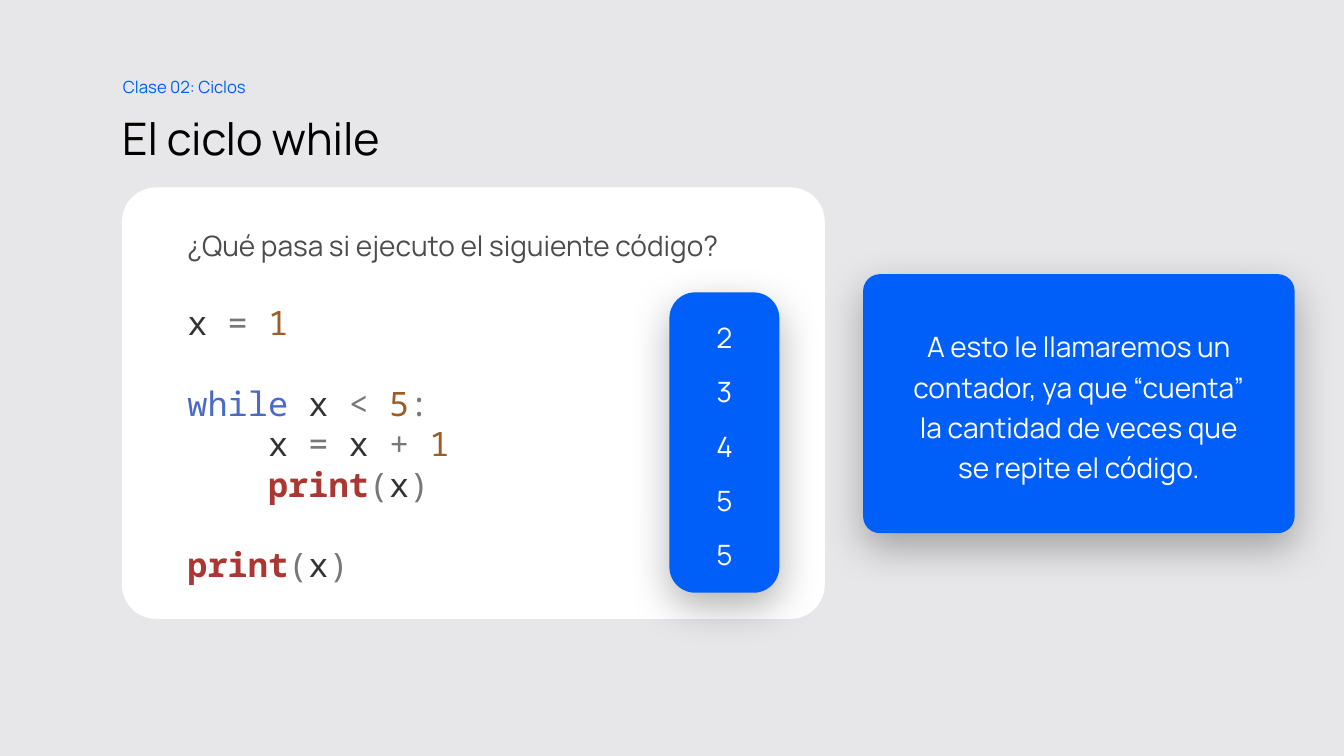
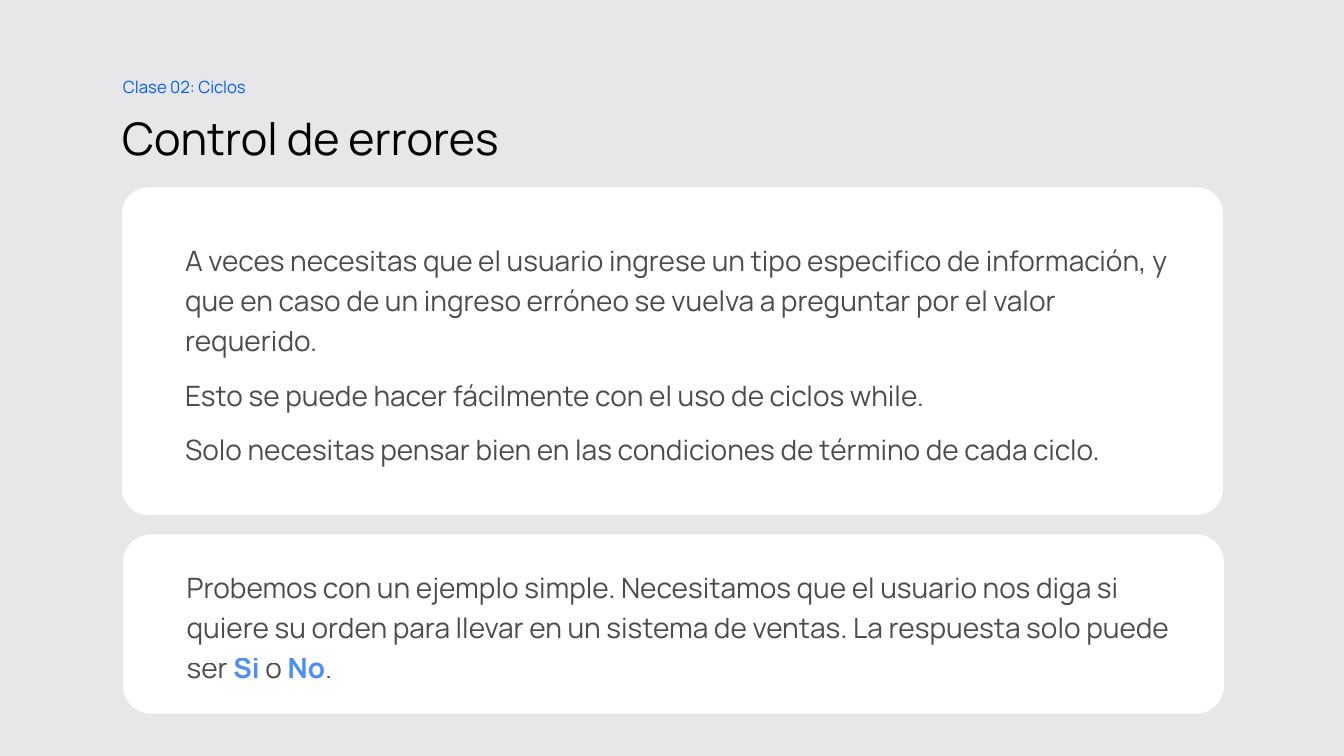
"""Build two lesson slides about while loops."""
from lxml.etree import SubElement
from pptx import Presentation
from pptx.dml.color import RGBColor as Rgb
from pptx.enum.shapes import MSO_SHAPE as Preset
from pptx.enum.text import MSO_ANCHOR as Anchor, MSO_AUTO_SIZE as Fit, PP_ALIGN as Align
from pptx.oxml.ns import qn
from pptx.util import Inches, Pt

COLORS = {
    "page": "E7E7E9", "panel": "FFFFFF", "accent": "005FF9", "ink": "000000",
    "name": "333333", "sign": "777777", "number": "9C5D27", "keyword": "4B69C6", "call": "AA3731",
}
SANS, MONO = "Manrope", "Noto Sans Mono"
CODE_LINE = 28.8
CODE_INDENT = Inches(0.8)
PRINT_CALL = [("print", "call"), ("(", "sign"), ("x", "name"), (")", "sign")]


def color(name):
    return Rgb.from_string(COLORS[name])


def style(font, size, name, face=SANS, bold=False):
    font.name, font.size, font.bold = face, Pt(size), bold
    font.color.rgb = color(name)


def fade(paragraph):
    for tint in paragraph._p.iter(qn("a:srgbClr")):
        SubElement(tint, qn("a:alpha"), val="70000")


class Lesson:
    def __init__(self, topic):
        self.topic = topic
        self.deck = Presentation()
        self.deck.slide_width, self.deck.slide_height = Inches(13.333), Inches(7.5)
        fill = self.deck.slide_master.background.fill
        fill.solid()
        fill.fore_color.rgb = color("page")

    def place(self, left, top, width, height):
        across, down = self.deck.slide_width / 100, self.deck.slide_height / 100
        return [int(part) for part in (left * across, top * down, width * across, height * down)]

    def frame(self, shape, margins, anchor):
        frame = shape.text_frame
        frame.word_wrap, frame.vertical_anchor = True, anchor
        (frame.margin_left, frame.margin_top,
         frame.margin_right, frame.margin_bottom) = [Inches(side) for side in margins]
        return frame

    def paragraph(self, frame, before=10, spacing=1.2, align=Align.LEFT):
        para = frame.paragraphs[0]
        if para.runs:
            para = frame.add_paragraph()
        para.alignment, para.line_spacing, para.space_before = align, spacing, Pt(before)
        return para

    def page(self, heading):
        self.slide = self.deck.slides.add_slide(self.deck.slide_layouts[5])
        title = self.slide.shapes.title
        title.left, title.top, title.width, title.height = self.place(9.08, 13.33, 81.4, 10)
        frame = self.frame(title, (0, 0.1, 0.1, 0.05), Anchor.MIDDLE)
        frame.auto_size = Fit.NONE
        para = self.paragraph(frame, 0, 0.9)
        para.add_run().text = heading
        style(para.font, 32, "ink")
        label = self.slide.shapes.add_textbox(*self.place(9.15, 8.93, 10.65, 4.53))
        frame = self.frame(label, (0, 0.05, 0.1, 0.05), Anchor.TOP)
        frame.word_wrap, frame.auto_size = False, Fit.SHAPE_TO_FIT_TEXT
        para = self.paragraph(frame)
        para.add_run().text = self.topic
        style(para.font, 12, "accent")

    def card(self, area, corner, fill, margins):
        box = self.slide.shapes.add_shape(Preset.ROUNDED_RECTANGLE, *self.place(*area))
        box.adjustments[0] = corner
        box.fill.solid()
        box.fill.fore_color.rgb = color(fill)
        box.line.fill.background()
        box.shadow.inherit = False
        return box, self.frame(box, margins, Anchor.MIDDLE)

    def panel(self, area, corner, texts=()):
        frame = self.card(area, corner, "panel", (0.55, 0, 0.3, 0))[1]
        for text in texts:
            para = self.paragraph(frame)
            para.add_run().text = text
            style(para.font, 20, "ink")
            fade(para)
        return frame

    def callout(self, area, corner, texts):
        box, frame = self.card(area, corner, "accent", (0.39, 0, 0.39, 0))
        effects = box._element.spPr.find(qn("a:effectLst"))
        shadow = SubElement(effects, qn("a:outerShdw"), blurRad=str(Pt(30)),
                            dist=str(Pt(10)), dir="5400000", rotWithShape="0")
        tint = SubElement(shadow, qn("a:srgbClr"), val=COLORS["ink"])
        SubElement(tint, qn("a:alpha"), val="30000")
        for text in texts:
            para = self.paragraph(frame, align=Align.CENTER)
            para.add_run().text = text
            style(para.font, 20, "panel")

    def code(self, frame, lines):
        for before, depth, tokens in lines:
            para = self.paragraph(frame, before, Pt(CODE_LINE))
            para._p.get_or_add_pPr().set("marL", str(depth * CODE_INDENT))
            for text, kind in tokens:
                span = para.add_run()
                span.text = text
                style(span.font, 24, kind, MONO, kind == "call")

    def mixed(self, frame, pieces):
        para = self.paragraph(frame)
        for text, name in pieces:
            span = para.add_run()
            span.text = text
            style(span.font, 20, name, bold=name == "accent")
        fade(para)


lesson = Lesson("Clase 02: Ciclos")

lesson.page("El ciclo while")
listing = lesson.panel((9.08, 24.8, 52.29, 57.07), 0.079,
                       ["¿Qué pasa si ejecuto el siguiente código?"])
lesson.code(listing, [
    (CODE_LINE, 0, [("x ", "name"), ("= ", "sign"), ("1", "number")]),
    (CODE_LINE, 0, [("while", "keyword"), (" x ", "name"), ("< ", "sign"),
                    ("5", "number"), (":", "sign")]),
    (0, 1, [("x ", "name"), ("=", "sign"), (" x ", "name"), ("+ ", "sign"), ("1", "number")]),
    (0, 1, PRINT_CALL),
    (CODE_LINE, 0, PRINT_CALL),
])
lesson.callout((49.81, 38.67, 8.18, 39.73), 0.235, "23455")
lesson.callout((64.22, 36.27, 32.11, 34.27), 0.065, [
    "A esto le llamaremos un contador, ya que “cuenta” la cantidad de veces "
    "que se repite el código."])

lesson.page("Control de errores")
lesson.panel((9.08, 24.8, 81.92, 43.33), 0.079, [
    "A veces necesitas que el usuario ingrese un tipo especifico de información, y que en "
    "caso de un ingreso erróneo se vuelva a preguntar por el valor requerido.",
    "Esto se puede hacer fácilmente con el uso de ciclos while.",
    "Solo necesitas pensar bien en las condiciones de término de cada ciclo."])
example = lesson.panel((9.15, 70.67, 81.92, 23.73), 0.156)
lesson.mixed(example, [
    ("Probemos con un ejemplo simple. Necesitamos que el usuario nos diga si quiere su orden "
     "para llevar en un sistema de ventas. La respuesta solo puede ser ", "ink"),
    ("Si ", "accent"), ("o ", "ink"), ("No", "accent"), (".", "ink")])

lesson.deck.save("out.pptx")
